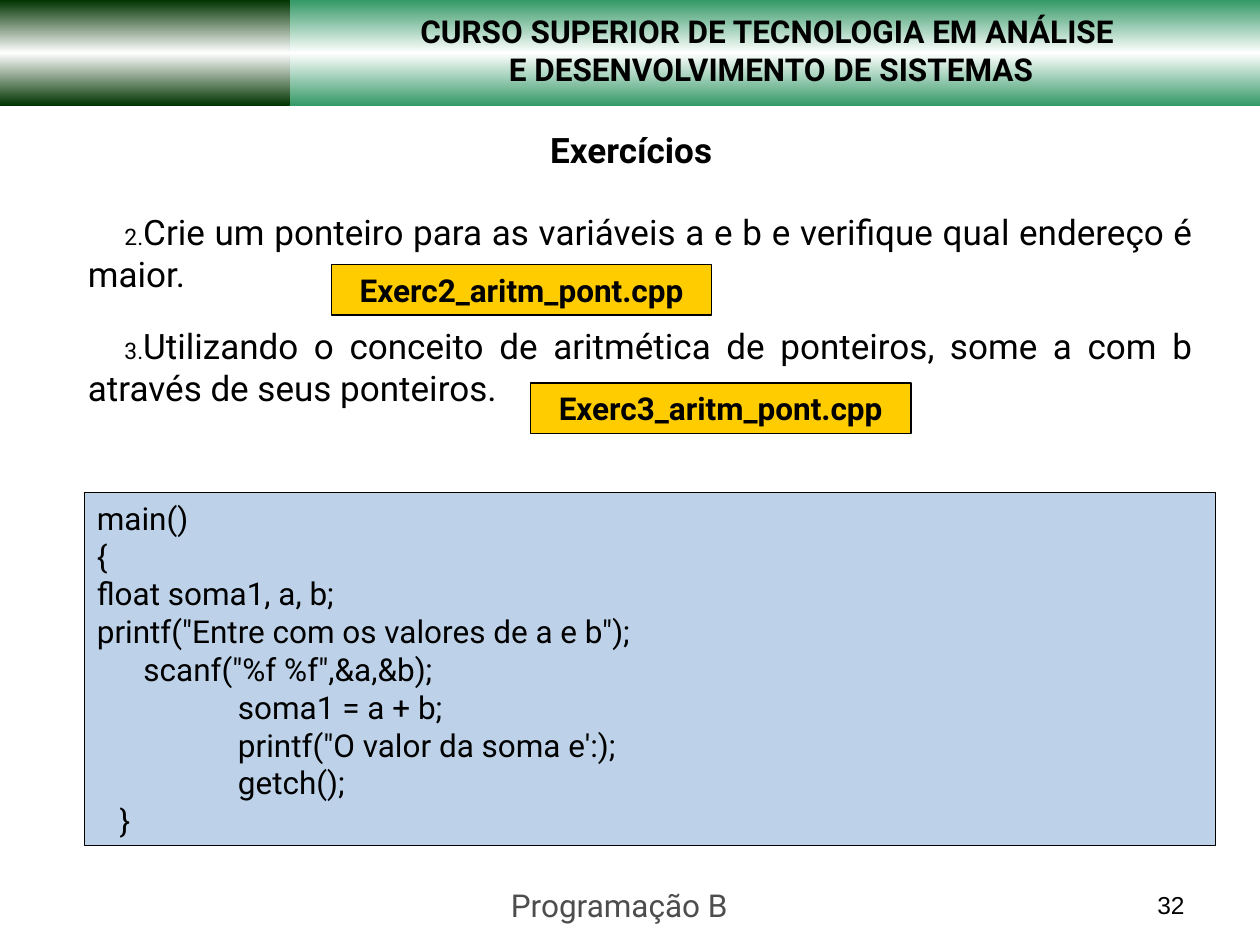
"""Builds the pointer arithmetic exercises slide of a programming course."""
import copy
import dataclasses

import lxml.etree
import pptx
import pptx.dml.color
import pptx.enum.shapes
import pptx.enum.text
import pptx.oxml.ns
import pptx.util

Inches = pptx.util.Inches
Pt = pptx.util.Pt
Align = pptx.enum.text.PP_ALIGN
Anchor = pptx.enum.text.MSO_ANCHOR
qualified = pptx.oxml.ns.qn


@dataclasses.dataclass(frozen=True)
class Theme:
    font: str = "Roboto"
    number_font: str = "Arial"
    heading_size: int = 20
    text_size: int = 18
    number_size: int = 14
    line_width: float = 0.75
    black: str = "000000"
    white: str = "FFFFFF"
    gray: str = "4D4D4D"
    green: str = "339966"
    dark_green: str = "003300"
    yellow: str = "FFCC00"
    blue: str = "BDD2E9"


theme = Theme()
rgb = pptx.dml.color.RGBColor.from_string
presentation = pptx.Presentation()
presentation.slide_width = Inches(10)
presentation.slide_height = Inches(7.5)
slide = presentation.slides.add_slide(presentation.slide_layouts[6])


def add_rectangle(box, fill_color=None):
    shape = slide.shapes.add_shape(
        pptx.enum.shapes.MSO_SHAPE.RECTANGLE, *map(Inches, box))
    shape.shadow.inherit = False
    if fill_color:
        shape.fill.solid()
        shape.fill.fore_color.rgb = rgb(fill_color)
        shape.line.color.rgb = rgb(theme.black)
        shape.line.width = Pt(theme.line_width)
    else:
        shape.line.fill.background()
    return shape


def write(shape, lines, size=theme.text_size, align=Align.CENTER, bold=False,
          color=theme.black, font=theme.font, anchor=Anchor.TOP):
    frame = shape.text_frame
    frame.word_wrap = True
    frame.vertical_anchor = anchor
    for index, line in enumerate(lines):
        paragraph = frame.add_paragraph() if index else frame.paragraphs[0]
        paragraph.alignment = align
        run = paragraph.add_run()
        run.text = line
        run.font.name = font
        run.font.size = Pt(size)
        run.font.bold = bold
        run.font.color.rgb = rgb(color)
    return frame.paragraphs


for width, edge_color in ((10, theme.green), (2.3, theme.dark_green)):
    band = add_rectangle((0, 0, width, 0.84))
    band.fill.gradient()
    band.fill.gradient_angle = 90
    stop_list = band.fill._xPr.find(".//" + qualified("a:gsLst"))
    stop_list.insert(1, copy.deepcopy(stop_list[0]))
    stop_colors = (edge_color, theme.white, edge_color)
    for index, stop in enumerate(band.fill.gradient_stops):
        stop.position = index / 2
        stop.color.rgb = rgb(stop_colors[index])

course = slide.shapes.add_textbox(Inches(2.24), Inches(0.05), Inches(7.76), Inches(0.7))
write(course, ["CURSO SUPERIOR DE TECNOLOGIA EM ANÁLISE ",
               "E DESENVOLVIMENTO DE SISTEMAS"], bold=True)

footer = slide.shapes.add_textbox(Inches(3.91), Inches(6.98), Inches(2.01), Inches(0.4))
write(footer, ["Programação B"], color=theme.gray)

page_number = slide.shapes.add_textbox(Inches(7.17), Inches(6.83), Inches(2.33), Inches(0.52))
write(page_number, ["32"], size=theme.number_size, align=Align.RIGHT,
      font=theme.number_font, anchor=Anchor.BOTTOM)

title = slide.shapes.add_textbox(Inches(0.51), Inches(0.44), Inches(9), Inches(1.5))
write(title, ["Exercícios"], size=theme.heading_size, bold=True, anchor=Anchor.MIDDLE)

exercises = slide.shapes.add_textbox(Inches(0.5), Inches(1.62), Inches(9.07), Inches(4.5))
exercise_paragraphs = write(exercises, [
    "Crie um ponteiro para as variáveis a e b e verifique qual endereço é maior.",
    "Utilizando o conceito de aritmética de ponteiros, some a com b através de seus ponteiros.",
], size=theme.heading_size, align=Align.JUSTIFY)
for paragraph in exercise_paragraphs:
    paragraph.space_before = Pt(5)
    paragraph.space_after = Pt(12.5)
    properties = paragraph._p.get_or_add_pPr()
    properties.set("marL", str(Inches(0.1)))
    properties.set("indent", str(Inches(0.29)))
    bullet_color = lxml.etree.SubElement(properties, qualified("a:buClr"))
    lxml.etree.SubElement(bullet_color, qualified("a:srgbClr"), val=theme.black)
    lxml.etree.SubElement(properties, qualified("a:buSzPct"), val="65000")
    lxml.etree.SubElement(properties, qualified("a:buFont"), typeface=theme.font)
    lxml.etree.SubElement(properties, qualified("a:buAutoNum"),
                          type="arabicPeriod", startAt="2")

code_lines = [
    (0, "main()"),
    (0, "{"),
    (0, "float soma1, a, b;"),
    (0, 'printf("Entre com os valores de a e b");'),
    (0.37, 'scanf("%f %f",&a,&b);'),
    (1.12, "soma1 = a + b;"),
    (1.12, "printf(\"O valor da soma e':);"),
    (1.12, "getch();"),
    (0.18, "}"),
]
code = add_rectangle((0.67, 3.91, 8.98, 2.8), theme.blue)
code_paragraphs = write(code, [line for _, line in code_lines], align=Align.LEFT)
for paragraph, (indent, _) in zip(code_paragraphs, code_lines):
    paragraph._p.get_or_add_pPr().set("marL", str(Inches(indent)))

for left, top, file_name in ((2.63, 2.1, "Exerc2_aritm_pont.cpp"),
                             (4.21, 3.04, "Exerc3_aritm_pont.cpp")):
    label = add_rectangle((left, top, 3.02, 0.4), theme.yellow)
    write(label, [file_name], bold=True)

presentation.save("out.pptx")
